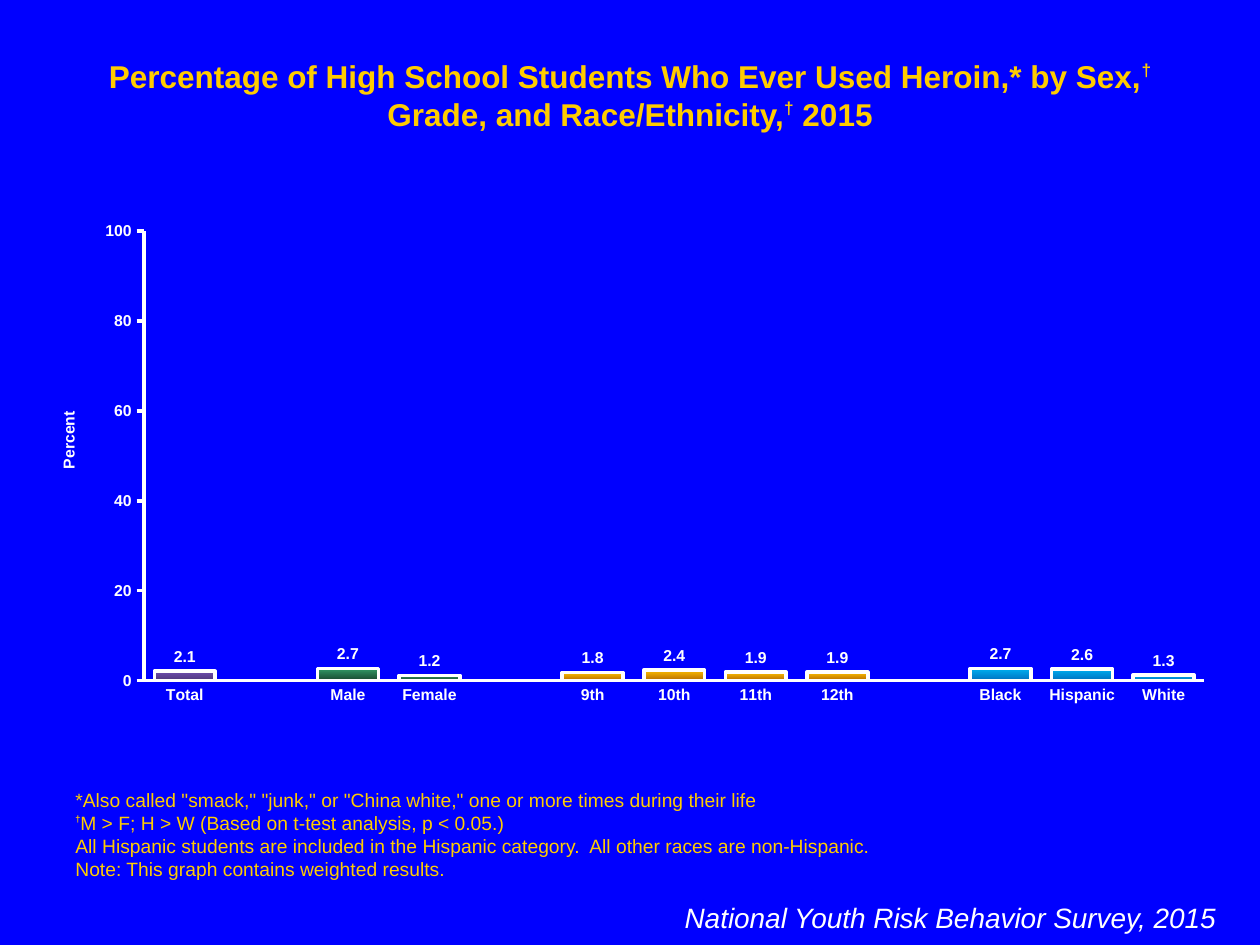
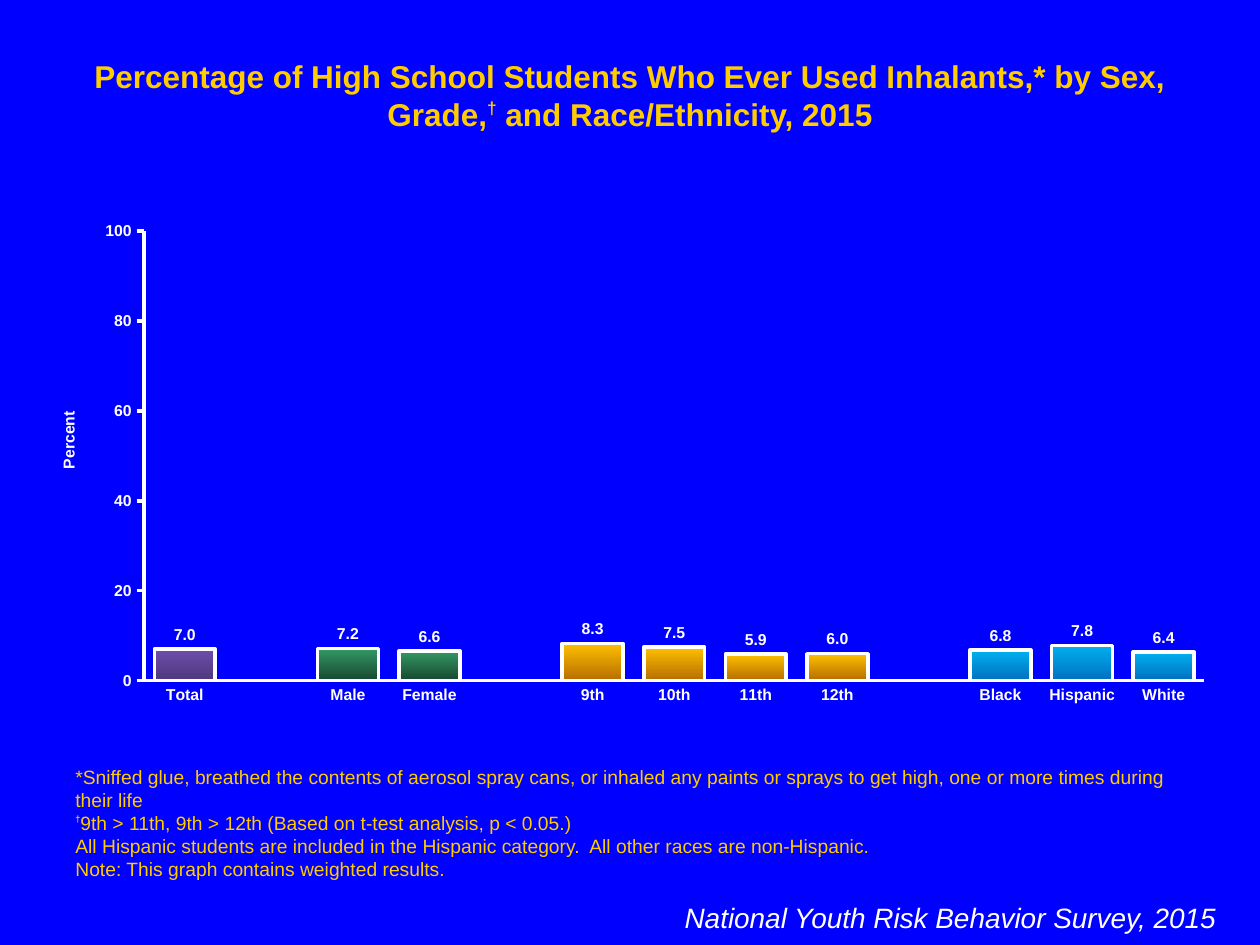
from lxml import etree
from pptx import Presentation
from pptx.chart import data as cd
from pptx.dml.color import RGBColor
from pptx.enum import chart as ec, text
from pptx.oxml import ns
from pptx.util import Inches, Pt

BLUE = RGBColor(0x00, 0x00, 0xFF)
GOLD = RGBColor(0xFF, 0xCC, 0x00)
WHITE = RGBColor(0xFF, 0xFF, 0xFF)
PURPLES = RGBColor(0x6E, 0x4E, 0xAE), RGBColor(0x4F, 0x38, 0x7C)
GREENS = RGBColor(0x33, 0x99, 0x66), RGBColor(0x18, 0x47, 0x2F)
AMBERS = RGBColor(0xFF, 0xC0, 0x00), RGBColor(0xB6, 0x6D, 0x00)
CYANS = RGBColor(0x00, 0xB0, 0xF0), RGBColor(0x00, 0x70, 0xC0)

FONT = "Arial"
DAGGER = "†"
# Bar groups: gradient colours and category labels
GROUPS = [
    (PURPLES, ["Total"]),
    (GREENS, ["Male", "Female"]),
    (AMBERS, ["9th", "10th", "11th", "12th"]),
    (CYANS, ["Black", "Hispanic", "White"]),
]
SURVEY = "National Youth Risk Behavior Survey, 2015"
COMMON_NOTES = [
    "All Hispanic students are included in the Hispanic category.  "
    "All other races are non-Hispanic.",
    "Note: This graph contains weighted results.",
]
SLIDES = [
    {
        "title": "Percentage of High School Students Who Ever Used Heroin,* "
                 "by Sex,† Grade, and Race/Ethnicity,† 2015",
        "values": [[2.1], [2.7, 1.2], [1.8, 2.4, 1.9, 1.9], [2.7, 2.6, 1.3]],
        "notes": [
            '*Also called "smack," "junk," or "China white," '
            "one or more times during their life",
            "†M > F; H > W (Based on t-test analysis, p < 0.05.)",
        ],
    },
    {
        "title": "Percentage of High School Students Who Ever Used Inhalants,* "
                 "by Sex, Grade,† and Race/Ethnicity, 2015",
        "values": [[7.0], [7.2, 6.6], [8.3, 7.5, 5.9, 6.0], [6.8, 7.8, 6.4]],
        "notes": [
            "*Sniffed glue, breathed the contents of aerosol spray cans, or inhaled "
            "any paints or sprays to get high, one or more times during their life",
            "†9th > 11th, 9th > 12th (Based on t-test analysis, p < 0.05.)",
        ],
    },
]


def style_font(font, size, color, bold=False, italic=False):
    font.name, font.size, font.color.rgb = FONT, Pt(size), color
    font.bold, font.italic = bold, italic


def place(parent, index, inner=False, **fractions):
    """Give a chart part a manual layout, in fractions of the chart."""
    for old in parent.findall(ns.qn("c:layout")):
        parent.remove(old)
    layout = etree.Element(ns.qn("c:layout"))
    manual = etree.SubElement(layout, ns.qn("c:manualLayout"))
    settings = {"layoutTarget": "inner"} if inner else {}
    settings.update(xMode="edge", yMode="edge", **fractions)
    for tag, value in settings.items():
        etree.SubElement(manual, ns.qn(f"c:{tag}")).set("val", str(value))
    parent.insert(index, layout)


class Deck:
    def __init__(self):
        self.prs = Presentation()
        self.prs.slide_width, self.prs.slide_height = Inches(10), Inches(7.5)
        fill = self.prs.slide_master.background.fill
        fill.solid()
        fill.fore_color.rgb = BLUE
        self.slide = None

    def add_slide(self):
        self.slide = self.prs.slides.add_slide(self.prs.slide_layouts[5])

    def fill_text(self, sp, paragraphs, size, color, align, anchor, dagger_size=None,
                  dagger_rise=0, bold=False, italic=False):
        """Fill a shape with text, raising each dagger."""
        tf = sp.text_frame
        tf.word_wrap = True
        tf.auto_size = text.MSO_AUTO_SIZE.SHAPE_TO_FIT_TEXT
        tf.vertical_anchor = anchor
        for i, line in enumerate(paragraphs):
            p = tf.add_paragraph() if i else tf.paragraphs[0]
            p.alignment = align
            before, *rest = line.split(DAGGER)
            pieces = [before]
            for piece in rest:
                pieces += [DAGGER, piece]
            for piece in filter(None, pieces):
                r = p.add_run()
                r.text = piece
                if piece == DAGGER:
                    style_font(r.font, dagger_size, color, bold=True)
                    r.font._element.set("baseline", str(dagger_rise * 1000))
                else:
                    style_font(r.font, size, color, bold, italic)

    def title(self, line):
        sp = self.slide.shapes.title
        sp.left, sp.top, sp.width, sp.height = map(Inches, (0.5, 0.4, 9, 0.4))
        self.fill_text(sp, [line], 18, GOLD, text.PP_ALIGN.CENTER,
                       text.MSO_ANCHOR.TOP, 17, 40, bold=True)

    def notes(self, lines):
        sp = self.slide.shapes.add_textbox(*map(Inches, (0.5, 6.75, 9, 0.29)))
        self.fill_text(sp, lines, 11, GOLD, text.PP_ALIGN.LEFT,
                       text.MSO_ANCHOR.BOTTOM, 9, 50)

    def footer(self):
        sp = self.slide.shapes.add_textbox(*map(Inches, (4.25, 7.1, 5.5, 0.64)))
        self.fill_text(sp, [SURVEY], 16, WHITE, text.PP_ALIGN.RIGHT,
                       text.MSO_ANCHOR.TOP, italic=True)

    def axis(self, axis, tick):
        axis.has_major_gridlines = False
        axis.major_tick_mark = tick
        axis.minor_tick_mark = ec.XL_TICK_MARK.NONE
        axis.format.line.color.rgb = WHITE
        axis.format.line.width = Pt(2)
        style_font(axis.tick_labels.font, 9, WHITE, bold=True)

    def chart(self, group_values):
        names, values, colors = [], [], []
        for (gradient, labels), numbers in zip(GROUPS, group_values):
            if names:  # empty slot between groups
                names.append("")
                values.append(None)
                colors.append(None)
            names += labels
            values += numbers
            colors += [gradient] * len(labels)
        data = cd.CategoryChartData()
        data.categories = names
        data.add_series("Series 1", values)
        chart = self.slide.shapes.add_chart(
            ec.XL_CHART_TYPE.COLUMN_CLUSTERED,
            *map(Inches, (0.25, 1.69, 9.5, 3.98)), data).chart
        chart.has_legend = chart.has_title = False
        style_font(chart.font, 18, WHITE)
        place(chart._chartSpace.chart.plotArea, 0, inner=True,
              x=0.094, y=0.036, w=0.886, h=0.897)

        self.axis(chart.category_axis, ec.XL_TICK_MARK.NONE)
        percent = chart.value_axis
        self.axis(percent, ec.XL_TICK_MARK.OUTSIDE)
        percent.minimum_scale, percent.maximum_scale = 0, 100
        percent.major_unit = 20
        tf = percent.axis_title.text_frame
        tf.text = "Percent"
        style_font(tf.paragraphs[0].runs[0].font, 9, WHITE, bold=True)
        place(percent.axis_title._element, 1, x=0.02, y=0.39)

        plot = chart.plots[0]
        plot.gap_width, plot.overlap = 34, 100
        plot.vary_by_categories = False
        plot.has_data_labels = True
        labels = plot.data_labels
        labels.show_value = True
        labels.number_format, labels.number_format_is_linked = "#,##0.0", False
        labels.position = ec.XL_LABEL_POSITION.OUTSIDE_END
        style_font(labels.font, 9, WHITE, bold=True)
        for i, gradient in enumerate(colors):
            if gradient:
                self.bar(plot.series[0].points[i].format, gradient)

    def bar(self, fmt, gradient):
        fmt.fill.gradient()
        fmt.fill.gradient_angle = 270
        for stop, color in zip(fmt.fill.gradient_stops, gradient):
            stop.color.rgb = color
        fmt.line.color.rgb = WHITE
        fmt.line.width = Pt(2)


def main():
    deck = Deck()
    for content in SLIDES:
        deck.add_slide()
        deck.title(content["title"])
        deck.notes(content["notes"] + COMMON_NOTES)
        deck.footer()
        deck.chart(content["values"])
    deck.prs.save("out.pptx")


if __name__ == "__main__":
    main()
